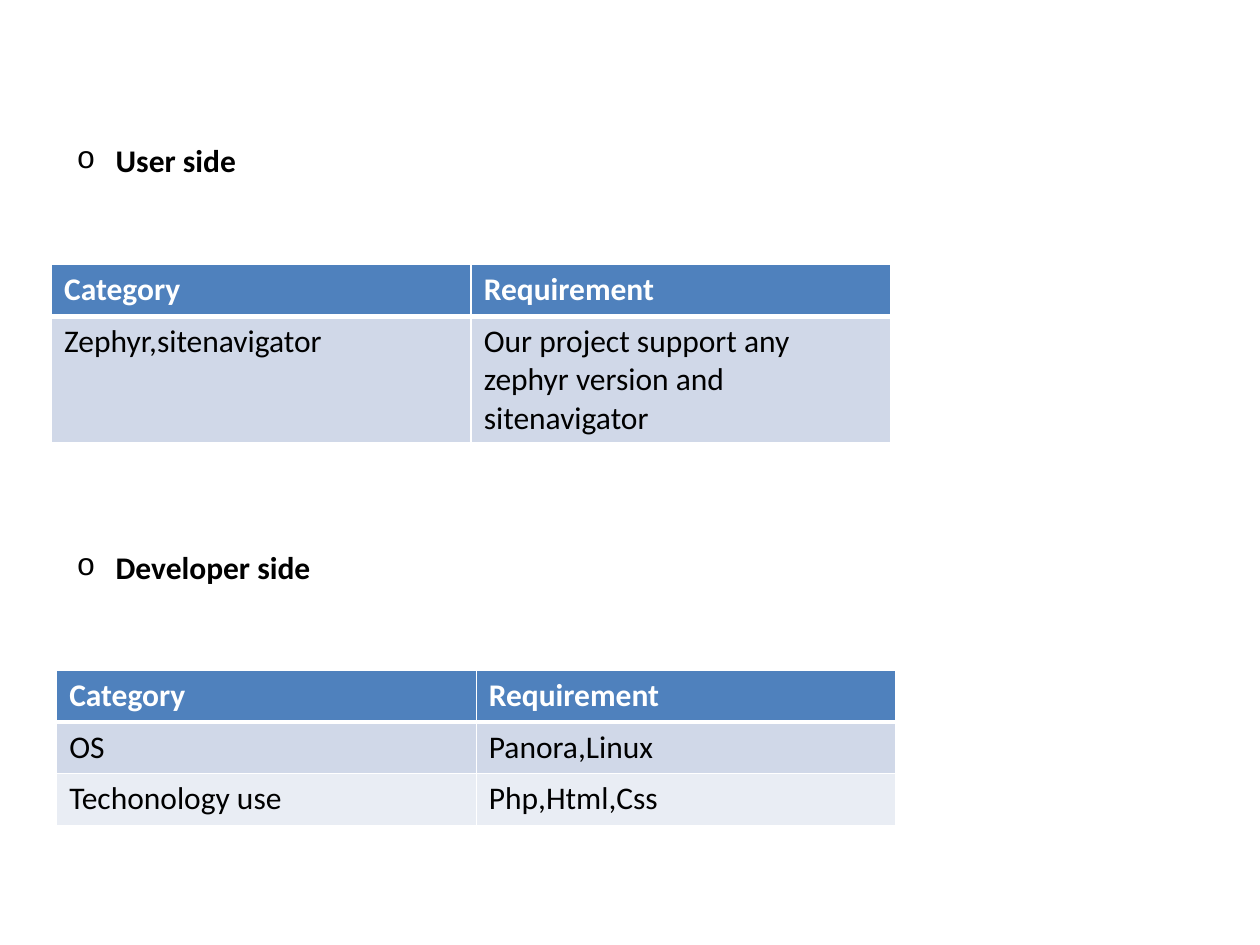
from lxml.etree import SubElement
from pptx import Presentation
from pptx.dml.color import RGBColor as RGB
from pptx.enum.text import MSO_AUTO_SIZE as AutoSize
from pptx.oxml import parse_xml
from pptx.oxml.ns import nsdecls, qn
from pptx.util import Inches, Pt

WHITE = RGB(0xFF, 0xFF, 0xFF)
BLACK = RGB(0x00, 0x00, 0x00)
HEADER_BLUE = RGB(0x4F, 0x81, 0xBD)
BANDS = [RGB(0xD0, 0xD8, 0xE8), RGB(0xE9, 0xED, 0xF4)]

FONT = "Calibri"
TEXT_SIZE = Pt(18)
COLUMN_WIDTH = 3.33
ROW_HEIGHT = 0.41
HEADER = ("Category", "Requirement")


def format_text(paragraph, color, bold):
    font = paragraph.font
    font.name, font.size, font.bold = FONT, TEXT_SIZE, bold
    font.color.rgb = color


def add_bullet(paragraph):
    properties = paragraph._p.get_or_add_pPr()
    indent = Inches(0.31)
    properties.set("marL", str(indent))
    properties.set("indent", str(-indent))
    SubElement(properties, qn("a:buFont"), typeface="Courier New")
    SubElement(properties, qn("a:buChar"), char="o")


def add_heading(slide, text, left, top, width):
    box = slide.shapes.add_textbox(
        Inches(left), Inches(top), Inches(width), Inches(0.4))
    frame = box.text_frame
    frame.word_wrap = False
    frame.auto_size = AutoSize.SHAPE_TO_FIT_TEXT
    paragraph = frame.paragraphs[0]
    paragraph.text = text
    add_bullet(paragraph)
    format_text(paragraph, BLACK, True)


def set_borders(cell, top, bottom):
    """White cell borders; the line under the header is thicker."""
    properties = cell._tc.get_or_add_tcPr()
    widths = {"lnL": 1, "lnR": 1, "lnT": top, "lnB": bottom}
    for index, (side, width) in enumerate(widths.items()):
        properties.insert(index, parse_xml(
            f'<a:{side} {nsdecls("a")} w="{Pt(width)}"><a:solidFill>'
            f'<a:srgbClr val="{WHITE}"/></a:solidFill></a:{side}>'))


def add_requirements(slide, rows, left, top):
    rows = [HEADER, *rows]
    table = slide.shapes.add_table(
        len(rows), len(HEADER), Inches(left), Inches(top),
        Inches(COLUMN_WIDTH * len(HEADER)),
        Inches(ROW_HEIGHT * len(rows))).table
    for row_index, row in enumerate(rows):
        is_header = row_index == 0
        fill = HEADER_BLUE if is_header else BANDS[(row_index - 1) % 2]
        for column_index, text in enumerate(row):
            cell = table.cell(row_index, column_index)
            cell.text = text
            cell.fill.solid()
            cell.fill.fore_color.rgb = fill
            set_borders(cell, 3 if row_index == 1 else 1, 3 if is_header else 1)
            format_text(cell.text_frame.paragraphs[0],
                        WHITE if is_header else BLACK, is_header)


def main():
    presentation = Presentation()
    presentation.slide_width = Inches(10)
    presentation.slide_height = Inches(7.5)
    slide = presentation.slides.add_slide(presentation.slide_layouts[6])

    # User requirements
    add_heading(slide, "User side", 0.51, 1.07, 1.48)
    add_requirements(slide, [
        ("Zephyr,sitenavigator",
         "Our project support any zephyr version and sitenavigator"),
    ], 0.41, 2.1)

    # Developer requirements
    add_heading(slide, "Developer side", 0.51, 4.3, 2.07)
    add_requirements(slide, [
        ("OS", "Panora,Linux"),
        ("Techonology use", "Php,Html,Css"),
    ], 0.45, 5.32)

    presentation.save("out.pptx")


if __name__ == "__main__":
    main()
